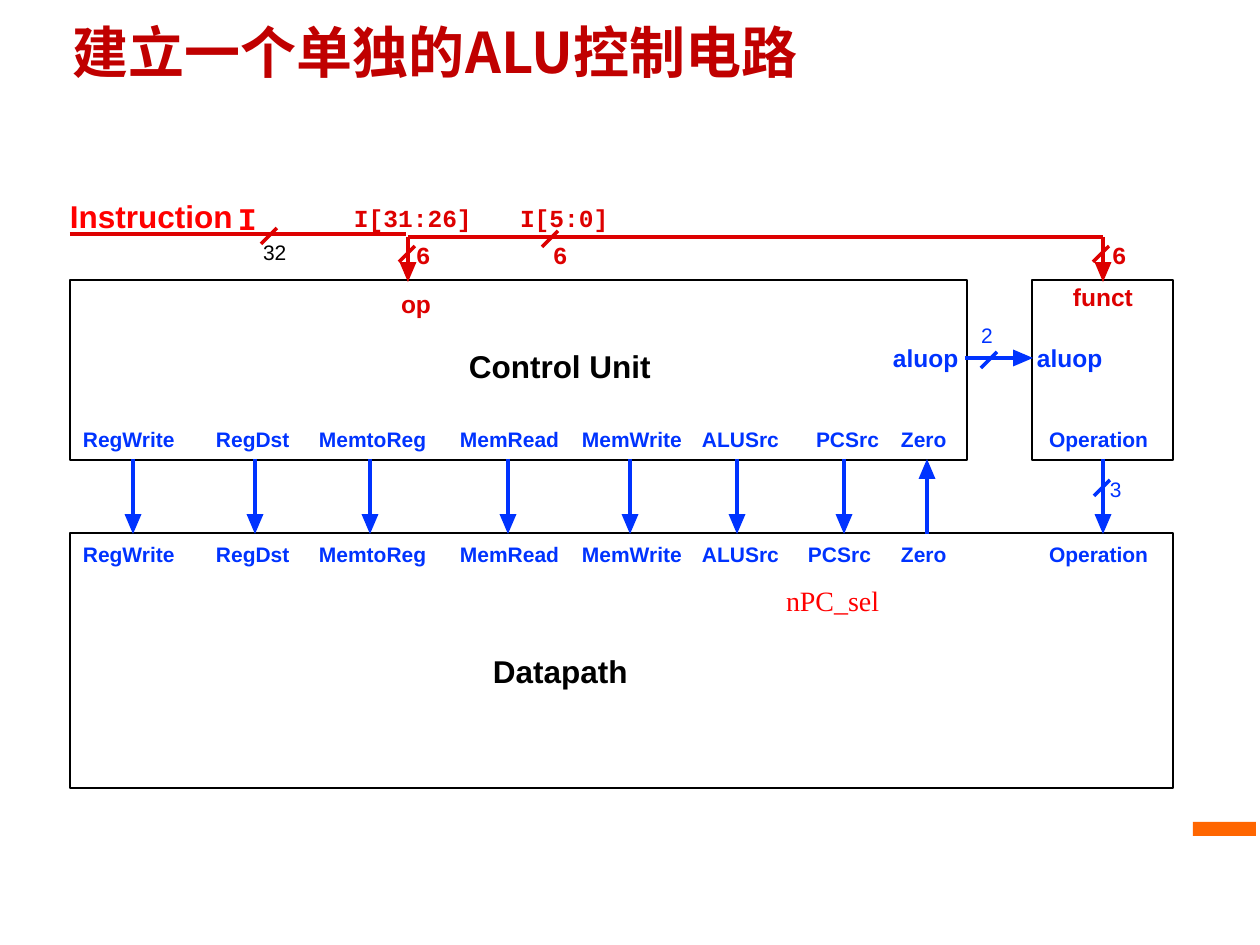
from dataclasses import dataclass
from math import hypot

from lxml.etree import SubElement
from pptx import Presentation
from pptx.dml.color import RGBColor
from pptx.enum.shapes import MSO_CONNECTOR, MSO_SHAPE
from pptx.enum.text import MSO_ANCHOR, MSO_AUTO_SIZE, PP_ALIGN
from pptx.oxml.ns import qn
from pptx.util import Pt

EMU_PER_PIXEL = 914400 / 126


@dataclass(frozen=True)
class Theme:
    title_red: str = "C00000"
    red: str = "FF0000"
    bus_red: str = "DD0000"
    blue: str = "0033FF"
    black: str = "000000"
    orange: str = "FF6600"
    title_font: str = "Noto Sans CJK SC"
    sans: str = "Arial"
    mono: str = "Courier New"
    serif: str = "Times New Roman"
    title_size: int = 32
    heading: int = 18
    note: int = 16
    port: int = 14
    small: int = 12


THEME = Theme()

# Content; all lengths in px
TITLE = "建立一个单独的ALU控制电路"
BLOCKS = [  # left, top, width, height
    (70, 533, 1103, 255),  # datapath
    (70, 280, 897, 180),   # control unit
    (1032, 280, 141, 180),  # ALU control
]
# name, upper label left, lower label left, label width, arrow x, arrow points up
SIGNALS = [
    ("RegWrite", 83, 83, 101, 133, False),
    ("RegDst", 216, 216, 79, 255, False),
    ("MemtoReg", 319, 319, 113, 370, False),
    ("MemRead", 460, 460, 107, 508, False),
    ("MemWrite", 582, 582, 111, 630, False),
    ("ALUSrc", 702, 702, 83, 737, False),
    ("PCSrc", 816, 808, 72, 844, False),
    ("Zero", 901, 901, 54, 927, True),
    ("Operation", 1049, 1049, 106, 1103, False),
]
UPPER_LABEL_TOP, LOWER_LABEL_TOP = 426, 542
UPPER_EDGE, LOWER_EDGE = 459, 534
# text, left, top, width, height, size, colour, font, bold
LABELS = [
    ("Control Unit", 469, 347, 202, 44, THEME.heading, THEME.black, THEME.sans, True),
    ("Datapath", 493, 652, 156, 44, THEME.heading, THEME.black, THEME.sans, True),
    ("Instruction", 70, 197, 193, 44, THEME.heading, THEME.red, THEME.sans, True),
    ("I", 238, 199, 38, 48, THEME.heading, THEME.red, THEME.mono, True),
    ("I[31:26]", 354, 203, 122, 34, THEME.port, THEME.bus_red, THEME.mono, True),
    ("I[5:0]", 520, 203, 95, 34, THEME.port, THEME.bus_red, THEME.mono, True),
    ("op", 401, 289, 43, 33, THEME.port, THEME.bus_red, THEME.sans, True),
    ("funct", 1073, 282, 73, 33, THEME.port, THEME.bus_red, THEME.sans, True),
    ("aluop", 893, 343, 78, 33, THEME.port, THEME.blue, THEME.sans, True),
    ("aluop", 1037, 343, 78, 33, THEME.port, THEME.blue, THEME.sans, True),
    ("32", 263, 240, 33, 30, THEME.small, THEME.black, THEME.sans, False),
    ("2", 981, 323, 20, 30, THEME.small, THEME.blue, THEME.sans, False),
    ("3", 1110, 477, 20, 30, THEME.small, THEME.blue, THEME.sans, False),
    ("nPC_sel", 786, 584, 95, 36, THEME.note, THEME.red, THEME.serif, False),
] + [
    ("6", left, 240, 28, 34, THEME.port, THEME.bus_red, THEME.mono, True)
    for left in (416, 553, 1112)
]
BUS_LINES = [((70, 234), (406, 234)), ((408, 237), (1103, 237))]
PORT_ARROWS = [  # tail, tip, colour
    ((408, 237), (408, 282), THEME.bus_red),
    ((1103, 237), (1103, 282), THEME.bus_red),
    ((965, 358), (1033, 358), THEME.blue),
]
TICKS = [  # right, top, colour
    (277, 228, THEME.bus_red), (415, 246, THEME.bus_red),
    (558, 231, THEME.bus_red), (1109, 246, THEME.bus_red),
    (997, 352, THEME.blue), (1110, 480, THEME.blue),
]
TICK_SIZE = 16
HEAD_LENGTH, HEAD_HALF_WIDTH = 20, 8.5


def px(*values):
    return [round(value * EMU_PER_PIXEL) for value in values]


def color(value):
    return RGBColor.from_string(value)


def add_rectangle(slide, box, fill=None):
    shape = slide.shapes.add_shape(MSO_SHAPE.RECTANGLE, *px(*box))
    shape.shadow.inherit = False
    if fill:
        shape.fill.solid()
        shape.fill.fore_color.rgb = color(fill)
        shape.line.fill.background()
    else:
        shape.fill.background()
        shape.line.color.rgb = color(THEME.black)
        shape.line.width = 0


def add_line(slide, start, end, line_color):
    line = slide.shapes.add_connector(MSO_CONNECTOR.STRAIGHT, *px(*start, *end))
    line.line.color.rgb = color(line_color)
    line.line.width = 0
    SubElement(line._element.spPr, qn("a:effectLst"))


def add_arrow(slide, tail, tip, arrow_color):
    length = hypot(tip[0] - tail[0], tip[1] - tail[1])
    dx, dy = (tip[0] - tail[0]) / length, (tip[1] - tail[1]) / length
    base = (tip[0] - HEAD_LENGTH * dx, tip[1] - HEAD_LENGTH * dy)
    add_line(slide, tail, base, arrow_color)
    corners = [
        tuple(px(base[0] + side * dy, base[1] - side * dx))
        for side in (HEAD_HALF_WIDTH, -HEAD_HALF_WIDTH)
    ]
    builder = slide.shapes.build_freeform(*px(*tip))
    builder.add_line_segments(corners, close=True)
    head = builder.convert_to_shape()
    head.shadow.inherit = False
    head.fill.solid()
    head.fill.fore_color.rgb = color(arrow_color)
    head.line.fill.background()


def set_font(font, size, font_color, name, bold):
    font.size = Pt(size)
    font.color.rgb = color(font_color)
    font.name = name
    font.bold = bold


def add_label(slide, text, left, top, width, height, *style):
    frame = slide.shapes.add_textbox(*px(left, top, width, height)).text_frame
    frame.margin_left = frame.margin_right = frame.margin_top = frame.margin_bottom = 0
    frame.word_wrap = False
    frame.auto_size = MSO_AUTO_SIZE.SHAPE_TO_FIT_TEXT
    paragraph = frame.paragraphs[0]
    paragraph.text = text
    set_font(paragraph.font, *style)


def add_title(slide):
    title = slide.shapes.title
    title.left, title.top, title.width, title.height = px(60, 4, 1145, 94)
    frame = title.text_frame
    frame.text = TITLE
    frame.auto_size = MSO_AUTO_SIZE.NONE
    frame.vertical_anchor = MSO_ANCHOR.MIDDLE
    paragraph = frame.paragraphs[0]
    paragraph.alignment = PP_ALIGN.LEFT
    set_font(paragraph.font, THEME.title_size, THEME.title_red, THEME.title_font, True)
    # East Asian typeface for the Chinese characters
    properties = paragraph.runs[0]._r.get_or_add_rPr()
    SubElement(properties, qn("a:ea"), typeface=THEME.title_font)


def main():
    presentation = Presentation()
    presentation.slide_width, presentation.slide_height = px(1260, 945)
    slide = presentation.slides.add_slide(presentation.slide_layouts[5])
    add_title(slide)
    add_rectangle(slide, (1193, 822, 63, 14), THEME.orange)

    # Blocks and the instruction bus
    for block in BLOCKS:
        add_rectangle(slide, block)
    for start, end in BUS_LINES:
        add_line(slide, start, end, THEME.bus_red)
    for tail, tip, arrow_color in PORT_ARROWS:
        add_arrow(slide, tail, tip, arrow_color)
    for right, top, tick_color in TICKS:
        add_line(slide, (right, top), (right - TICK_SIZE, top + TICK_SIZE), tick_color)

    # Control signals between the blocks
    for name, upper_left, lower_left, width, x, points_up in SIGNALS:
        for left, top in ((upper_left, UPPER_LABEL_TOP), (lower_left, LOWER_LABEL_TOP)):
            add_label(slide, name, left, top, width, 30,
                      THEME.small, THEME.blue, THEME.sans, True)
        ends = [(x, UPPER_EDGE), (x, LOWER_EDGE)]
        tail, tip = reversed(ends) if points_up else ends
        add_arrow(slide, tail, tip, THEME.blue)

    for label in LABELS:
        add_label(slide, *label)
    presentation.save("out.pptx")


if __name__ == "__main__":
    main()
